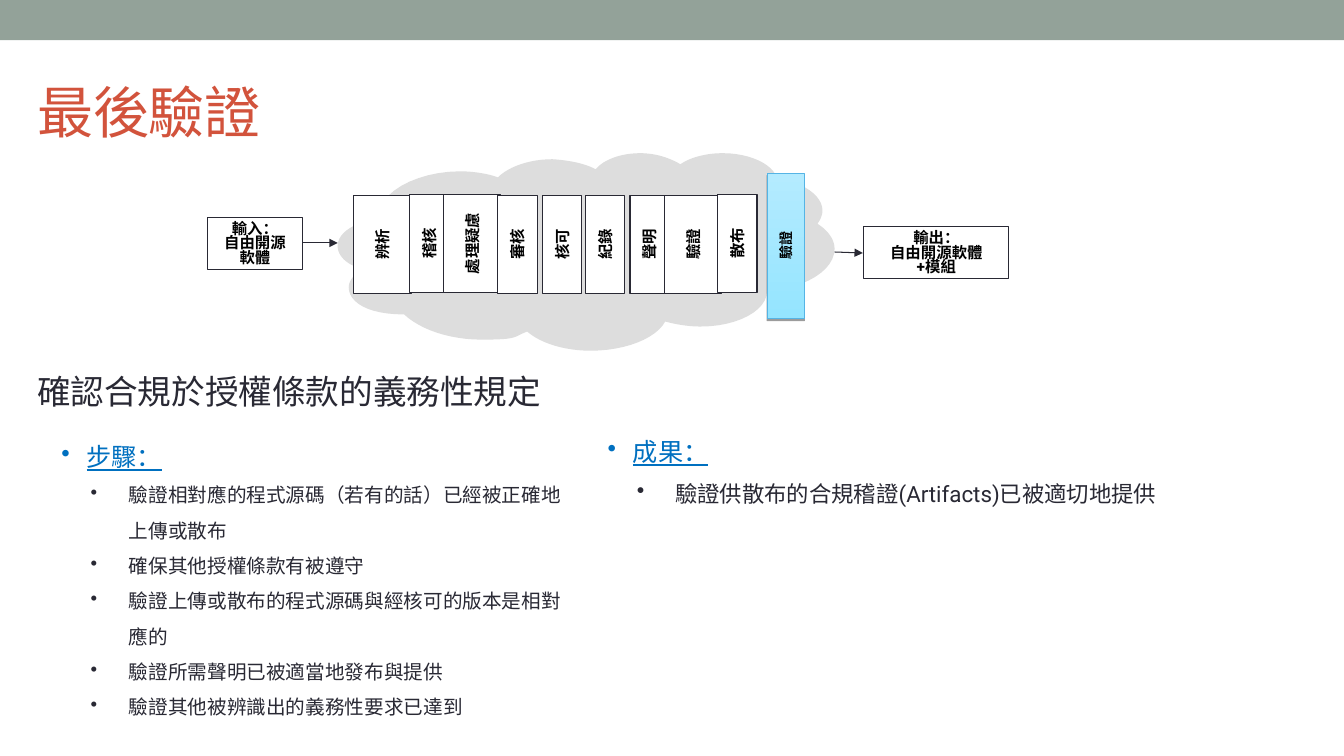
import pptx
import pptx.util
import pptx.dml.color
import pptx.enum.shapes
import pptx.enum.text
import pptx.oxml
import pptx.oxml.ns

RGBColor = pptx.dml.color.RGBColor
SAGE = RGBColor(0x93, 0xA2, 0x99)
RUST = RGBColor(0xD2, 0x53, 0x3C)
INK = RGBColor(0x29, 0x29, 0x34)
BLUE = RGBColor(0x00, 0x70, 0xC0)
CLOUD_GREY = RGBColor(0xDD, 0xDD, 0xDD)
SKY = RGBColor(0x95, 0xE5, 0xFF)
PALE_SKY = RGBColor(0xB4, 0xEB, 0xFF)
SKY_EDGE = RGBColor(0x55, 0xB4, 0xE5)
WHITE = RGBColor(0xFF, 0xFF, 0xFF)
BLACK = RGBColor(0, 0, 0)
NAMESPACE = pptx.oxml.ns.nsdecls("a")
Pt = pptx.util.Pt
ALIGN = pptx.enum.text.PP_ALIGN
MIDDLE = pptx.enum.text.MSO_ANCHOR.MIDDLE
TOP = pptx.enum.text.MSO_ANCHOR.TOP

# Square grid: ten cells to the inch
CELL = pptx.util.Inches(0.1)
presentation = pptx.Presentation()
presentation.slide_width = round(133.33 * CELL)
presentation.slide_height = 75 * CELL
slide = presentation.slides.add_slide(presentation.slide_layouts[6])


def add_box(left, top, width, height, fill=None, edge=None, upright=False):
    """Add a rectangle in grid cells; upright text reads from bottom to top."""
    if upright:
        left, top = left + (width - height) / 2, top + (height - width) / 2
        width, height = height, width
    frame = [round(cells * CELL) for cells in (left, top, width, height)]
    if fill is None:
        shape = slide.shapes.add_textbox(*frame)
    else:
        shape = slide.shapes.add_shape(pptx.enum.shapes.MSO_SHAPE.RECTANGLE, *frame)
        shape.shadow.inherit = False
        shape.fill.solid()
        shape.fill.fore_color.rgb = fill
        shape.line.fill.background()
    if edge is not None:
        shape.line.color.rgb = edge
        shape.line.width = Pt(0.75)
    if upright:
        shape.rotation = 270
        text_frame = shape.text_frame
        text_frame.margin_left = text_frame.margin_right = 0
        text_frame.margin_top = text_frame.margin_bottom = 0
    return shape


def write(shape, text, size, color, bold=None, align=ALIGN.LEFT, anchor=TOP):
    """Write text, one paragraph a line, in a single style."""
    text_frame = shape.text_frame
    text_frame.word_wrap = True
    text_frame.vertical_anchor = anchor
    text_frame.text = text
    for paragraph in text_frame.paragraphs:
        paragraph.alignment = align
        for run in paragraph.runs:
            run.font.name = "Roboto"
            run.font.size = Pt(size)
            run.font.bold = bold
            run.font.color.rgb = color


# Header band
add_box(0, 0, 133.33, 4, SAGE)

# Cloud: each row is two control points and an end point
cloud_start = (37.9, 21.7)
cloud_curves = [
    (37.0, 19.3, 41.3, 17.0, 45.6, 17.0), (46.9, 17.0, 48.3, 17.2, 49.4, 17.6),
    (50.5, 16.5, 52.6, 15.8, 54.8, 15.8), (56.4, 15.9, 58.0, 16.2, 59.1, 16.8),
    (59.9, 15.8, 61.7, 15.2, 63.5, 15.2), (65.1, 15.2, 66.5, 15.7, 67.5, 16.3),
    (68.5, 15.6, 70.1, 15.2, 71.7, 15.2), (74.4, 15.2, 76.7, 16.3, 77.1, 17.7),
    (79.7, 18.1, 81.6, 19.4, 81.6, 20.9), (81.6, 21.3, 81.4, 21.8, 81.1, 22.2),
    (82.2, 22.9, 82.8, 23.8, 82.8, 24.7), (82.8, 26.8, 79.9, 28.6, 76.1, 28.9),
    (76.1, 30.8, 73.2, 32.4, 69.5, 32.4), (68.3, 32.4, 67.1, 32.2, 66.0, 31.9),
    (65.1, 33.6, 62.0, 34.8, 58.6, 34.8), (56.1, 34.8, 53.7, 34.1, 52.3, 32.9),
    (50.9, 33.4, 51.6, 33.7, 47.8, 33.7), (44.6, 33.7, 41.7, 32.7, 40.1, 31.2),
    (36.5, 31.2, 34.6, 30.0, 34.6, 28.5), (34.6, 27.9, 35.1, 27.2, 36.0, 26.7),
    (34.4, 26.3, 33.5, 25.4, 33.5, 24.4), (33.5, 23.0, 35.4, 21.9, 37.9, 21.7),
]
STEPS_PER_CURVE = 12
outline = []
x0, y0 = cloud_start
for x1, y1, x2, y2, x3, y3 in cloud_curves:
    for step in range(1, STEPS_PER_CURVE + 1):
        t = step / STEPS_PER_CURVE
        s = 1 - t
        weights = (s ** 3, 3 * s * s * t, 3 * s * t * t, t ** 3)
        outline.append(tuple(
            CELL * sum(weight * value for weight, value in zip(weights, values))
            for values in ((x0, x1, x2, x3), (y0, y1, y2, y3))
        ))
    x0, y0 = x3, y3
builder = slide.shapes.build_freeform(cloud_start[0] * CELL, cloud_start[1] * CELL)
builder.add_line_segments(outline, close=True)
cloud = builder.convert_to_shape()
cloud.shadow.inherit = False
cloud.fill.solid()
cloud.fill.fore_color.rgb = CLOUD_GREY
cloud.line.fill.background()

# Arrows into and out of the cloud
for x_from, y_from, x_to, y_to in [(30, 24.1, 33.5, 24.1), (82.8, 25, 85.6, 25.1)]:
    arrow = slide.shapes.add_connector(
        pptx.enum.shapes.MSO_CONNECTOR.STRAIGHT,
        *[round(cells * CELL) for cells in (x_from, y_from, x_to, y_to)])
    arrow.line.color.rgb = INK
    arrow.line.width = Pt(0.75)
    arrow.line._get_or_add_ln().append(
        pptx.oxml.parse_xml(f'<a:tailEnd {NAMESPACE} type="triangle"/>'))
    arrow._element.spPr.append(pptx.oxml.parse_xml(f"<a:effectLst {NAMESPACE}/>"))

# Highlighted final step
final_step = add_box(76.1, 17.2, 3.7, 14.4, SKY, SKY_EDGE)
final_step.fill.gradient()
final_step.fill.gradient_angle = 90
for stop, color in zip(final_step.fill.gradient_stops, (SKY, PALE_SKY)):
    stop.color.rgb = color
final_step._element.spPr.find(pptx.oxml.ns.qn("a:effectLst")).append(
    pptx.oxml.parse_xml(
        f'<a:outerShdw {NAMESPACE} blurRad="0" dist="20320" dir="5400000">'
        '<a:srgbClr val="000000"><a:alpha val="38000"/></a:srgbClr></a:outerShdw>'))
final_label = add_box(76.1, 17.2, 3.7, 14.4, upright=True)
write(final_label, "驗證", 10, BLACK, True, ALIGN.CENTER, MIDDLE)

# Process steps: label, left, top, width
process_steps = [
    ("辨析", 35.1, 19.4, 5.7), ("稽核", 40.6, 19.3, 3.9),
    ("處理疑慮", 44.0, 19.3, 5.7), ("審核", 49.4, 19.4, 3.9),
    ("核可", 53.8, 19.4, 3.9), ("紀錄", 58.1, 19.4, 3.9),
    ("聲明", 62.5, 19.4, 3.9), ("驗證", 65.9, 19.4, 5.7),
    ("散布", 71.2, 19.3, 3.9),
]
for label, left, top, width in process_steps:
    process_step = add_box(left, top, width, 9.7, WHITE, INK, upright=True)
    write(process_step, label, 11, BLACK, True, ALIGN.CENTER, MIDDLE)

# Input and output boxes
for label, left, top, width in [
    ("輸入：\n自由開源軟體", 20.6, 21.6, 9.4),
    ("輸出：\n自由開源軟體\n+模組", 85.7, 22.5, 14.4),
]:
    end_box = add_box(left, top, width, 5.1, WHITE, INK)
    write(end_box, label, 11, BLACK, True, ALIGN.CENTER)
    for paragraph in end_box.text_frame.paragraphs:
        paragraph.line_spacing = Pt(10.5)

# Title and subtitle
write(add_box(2.7, 5.6, 120, 10.8), "最後驗證", 40, RUST, anchor=MIDDLE)
write(add_box(2.7, 36.3, 130.6, 5), "確認合規於授權條款的義務性規定", 24, INK)

# Bulleted columns: frame, item size, heading and items
columns = [
    ((59.3, 43.1, 67.1, 25.2), 16,
     ["成果：", "驗證供散布的合規稽證(Artifacts)已被適切地提供"]),
    ((5.1, 43.6, 53.2, 30.3), 14,
     ["步驟：",
      "驗證相對應的程式源碼（若有的話）已經被正確地上傳或散布",
      "確保其他授權條款有被遵守",
      "驗證上傳或散布的程式源碼與經核可的版本是相對應的",
      "驗證所需聲明已被適當地發布與提供",
      "驗證其他被辨識出的義務性要求已達到"]),
]
for frame, item_size, lines in columns:
    column = add_box(*frame)
    write(column, "\n".join(lines), item_size, INK)
    for index, paragraph in enumerate(column.text_frame.paragraphs):
        heading = index == 0
        color = BLUE if heading else INK
        margin, hanging = (2.5, 2.5) if heading else (6.7, 3.8)
        properties = paragraph._p.get_or_add_pPr()
        properties.set("marL", str(round(margin * CELL)))
        properties.set("indent", str(-round(hanging * CELL)))
        for bullet in (f'<a:buClr {NAMESPACE}><a:srgbClr val="{color}"/></a:buClr>',
                       f'<a:buChar {NAMESPACE} char="•"/>'):
            properties.append(pptx.oxml.parse_xml(bullet))
        paragraph.line_spacing = 0.9 if heading else 1.5
        if heading:
            font = paragraph.runs[0].font
            font.size = Pt(18)
            font.underline = True
            font.color.rgb = BLUE

presentation.save("out.pptx")
